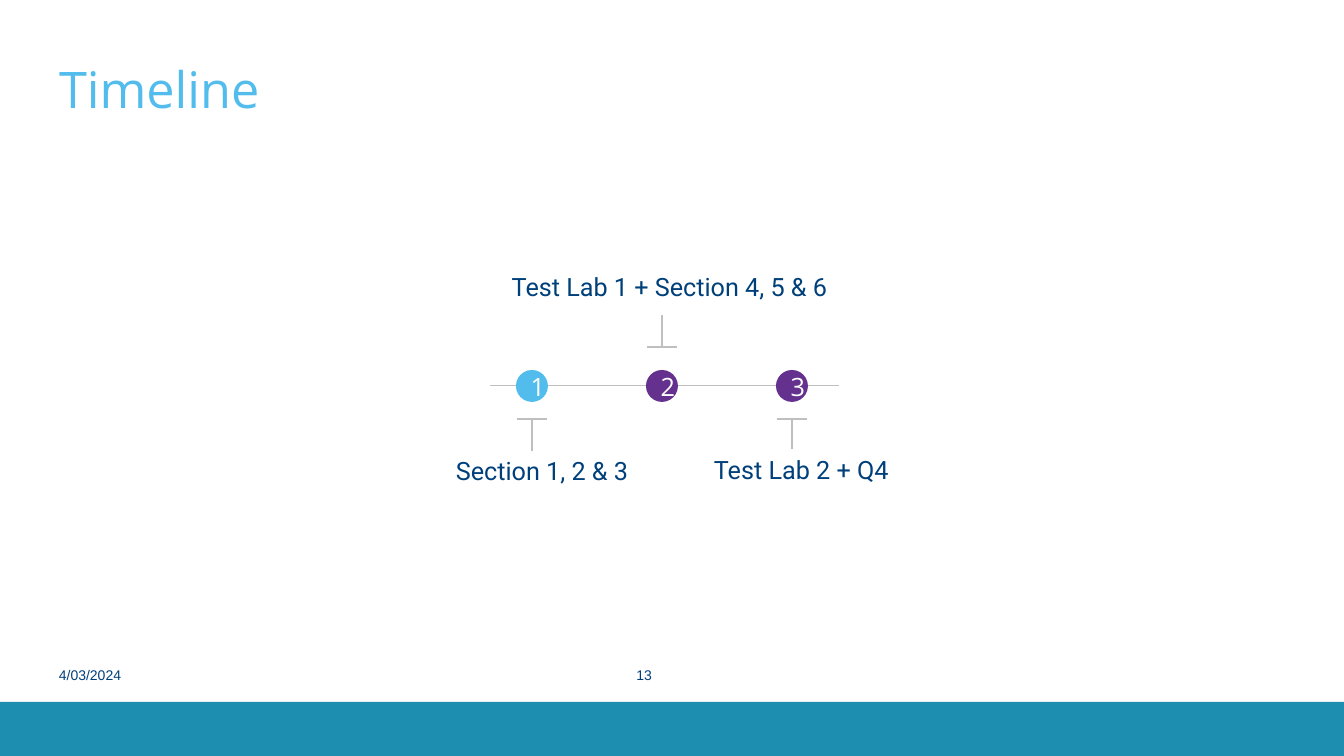
from dataclasses import dataclass

from lxml.etree import SubElement
from pptx import Presentation
from pptx.dml.color import RGBColor as RGB
from pptx.enum.shapes import MSO_CONNECTOR as Conn, MSO_SHAPE as Shape
from pptx.enum.text import MSO_ANCHOR as Anchor, MSO_AUTO_SIZE as AutoSize, PP_ALIGN as Align
from pptx.oxml.ns import qn
from pptx.util import Emu, Pt

EMU_PER_PX = 914400 / 100.8


def px(n):
    return Emu(round(n * EMU_PER_PX))


@dataclass(frozen=True)
class Theme:
    sky: RGB = RGB.from_string("52BDEC")
    purple: RGB = RGB.from_string("65318F")
    navy: RGB = RGB.from_string("00407A")
    teal: RGB = RGB.from_string("1D8DB0")
    grey: RGB = RGB.from_string("BFBFBF")
    white: RGB = RGB.from_string("FFFFFF")
    title_font: str = "Open Sans"
    label_font: str = "Roboto"
    footer_font: str = "Arial"
    title_size: int = 36
    label_size: int = 18
    footer_size: int = 10


class SlideBuilder:
    def __init__(self, s, theme):
        self.s = s
        self.theme = theme

    def run(self, p, text, font, size, color):
        r = p.add_run()
        r.text = text
        r.font.name = font
        r.font.size = Pt(size)
        r.font.color.rgb = color

    def flush(self, tf):
        tf.margin_left = tf.margin_top = tf.margin_right = tf.margin_bottom = 0

    def title(self, text, x, y, w, h):
        sp = self.s.shapes.title
        sp.left, sp.top, sp.width, sp.height = map(px, (x, y, w, h))
        tf = sp.text_frame
        self.flush(tf)
        tf.auto_size = AutoSize.NONE
        tf.vertical_anchor = Anchor.BOTTOM
        p = tf.paragraphs[0]
        p.alignment = Align.LEFT
        t = self.theme
        self.run(p, text, t.title_font, t.title_size, t.sky)

    def text_box(self, text, x, y, w, h, font, size, align):
        tf = self.s.shapes.add_textbox(*map(px, (x, y, w, h))).text_frame
        tf.word_wrap = True
        p = tf.paragraphs[0]
        p.alignment = align
        self.run(p, text, font, size, self.theme.navy)
        return tf

    def label(self, text, x, y, align):
        t = self.theme
        tf = self.text_box(text, x, y, 343, 40, t.label_font, t.label_size, align)
        tf.auto_size = AutoSize.SHAPE_TO_FIT_TEXT

    def footer(self, text, x, align):
        t = self.theme
        self.flush(self.text_box(text, x, 666, 137, 31, t.footer_font, t.footer_size, align))

    def shape(self, kind, x, y, w, h, fill):
        sp = self.s.shapes.add_shape(kind, *map(px, (x, y, w, h)))
        sp.shadow.inherit = False
        sp.fill.solid()
        sp.fill.fore_color.rgb = fill
        sp.line.fill.background()
        return sp

    def marker(self, text, cx, cy, fill):
        sp = self.shape(Shape.OVAL, cx - 16, cy - 16, 32, 32, fill)
        p = sp.text_frame.paragraphs[0]
        p.alignment = Align.CENTER
        t = self.theme
        self.run(p, text, t.title_font, t.label_size, t.white)

    def line(self, x1, y1, x2, y2, width=1):
        cxn = self.s.shapes.add_connector(Conn.STRAIGHT, *map(px, (x1, y1, x2, y2)))
        cxn.line.color.rgb = self.theme.grey
        cxn.line.width = Pt(width)
        SubElement(cxn._element.spPr, qn("a:effectLst"))

    def bracket(self, cx, cap_y, end_y):
        self.line(cx - 15, cap_y, cx + 15, cap_y)
        self.line(cx, cap_y, cx, end_y)


def main():
    prs = Presentation()
    prs.slide_width, prs.slide_height = px(1344), px(756)
    theme = Theme()
    b = SlideBuilder(prs.slides.add_slide(prs.slide_layouts[5]), theme)

    b.shape(Shape.RECTANGLE, 0, 702, 1344, 54, theme.teal)
    b.title("Timeline", 59, 20, 1255, 99)
    b.footer("4/03/2024", 59, Align.LEFT)
    b.footer("13", 515, Align.RIGHT)

    axis_y, first_x, step = 386, 532, 130
    b.line(490, axis_y, 839, axis_y, 0.75)
    milestones = [
        ("Section 1, 2 & 3", 446, 450, Align.LEFT, theme.sky, 419, 451),
        ("Test Lab 1 + Section 4, 5 & 6", 498, 266, Align.CENTER, theme.purple, 347, 315),
        ("Test Lab 2 + Q4", 704, 449, Align.LEFT, theme.purple, 419, 449),
    ]
    for i, (text, x, y, align, fill, cap_y, end_y) in enumerate(milestones):
        cx = first_x + i * step
        b.marker(str(i + 1), cx, axis_y, fill)
        b.bracket(cx, cap_y, end_y)
        b.label(text, x, y, align)

    prs.save("out.pptx")


if __name__ == "__main__":
    main()
